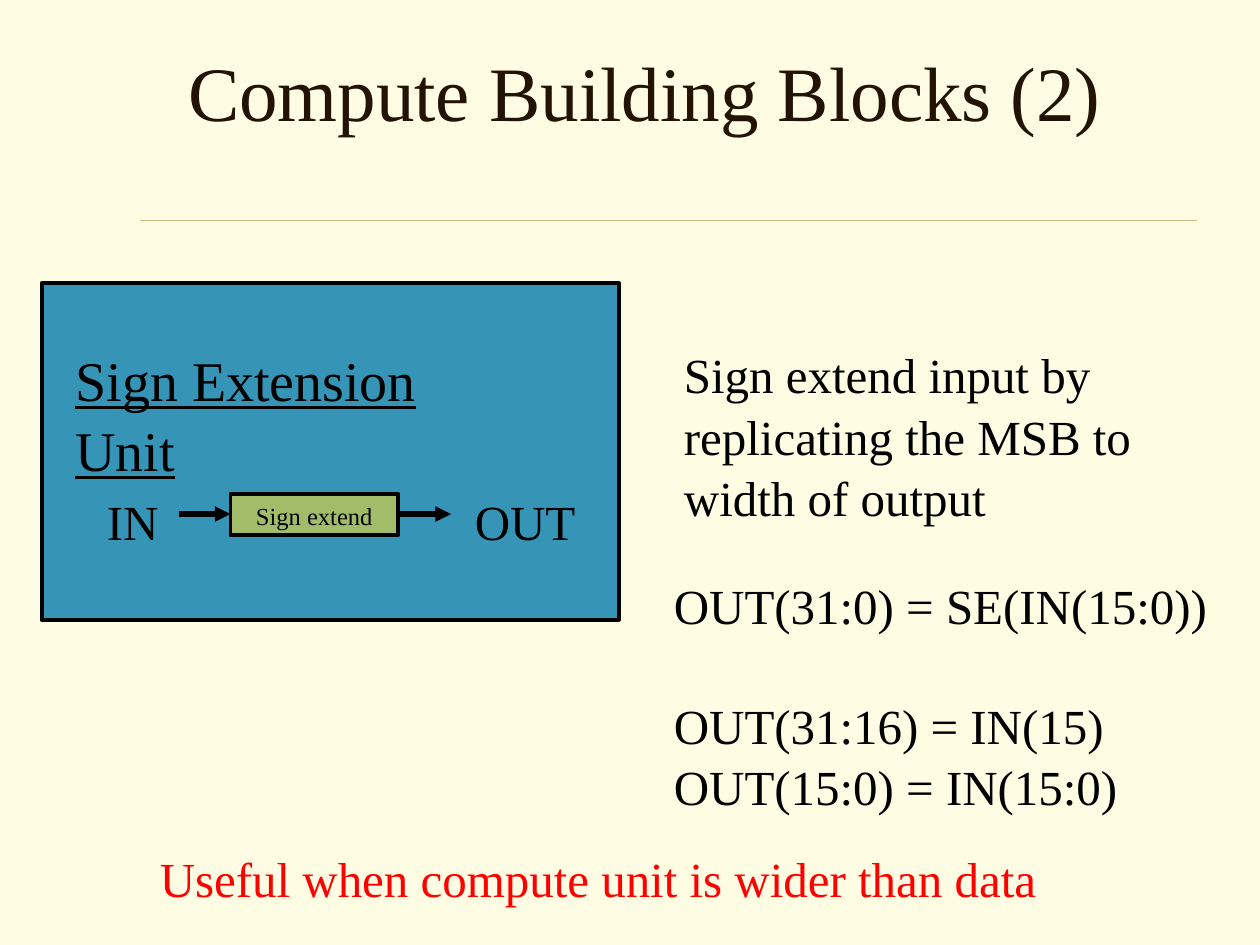
from dataclasses import dataclass

import pptx
import pptx.dml.color
import pptx.enum.shapes
import pptx.enum.text
import pptx.oxml
import pptx.oxml.ns
import pptx.util
from pptx.dml.color import RGBColor
from pptx.util import Inches

CREAM = RGBColor(0xFE, 0xFD, 0xE3)
TAN = RGBColor(0xCB, 0xBD, 0x83)
BROWN = RGBColor(0x22, 0x13, 0x04)
BLUE = RGBColor(0x36, 0x94, 0xB6)
GREEN = RGBColor(0xA1, 0xBD, 0x69)
BLACK = RGBColor(0, 0, 0)
RED = RGBColor(0xFF, 0, 0)
FONT = "Times New Roman"
BODY_SIZE = 28
LINE_SPACING = 1.04


@dataclass
class Label:
    left: float
    top: float
    width: float
    height: float
    lines: tuple[str, ...]
    size: int = BODY_SIZE
    color: RGBColor = BLACK
    underline: bool = False
    wrap: bool = False
    centered: bool = False
    gap_before: tuple[int, ...] = ()


@dataclass
class Block:
    left: float
    top: float
    width: float
    height: float
    fill: RGBColor


@dataclass
class Line:
    start: float
    end: float
    y: float
    color: RGBColor = BLACK
    weight: float = 3
    arrow: bool = True


def write_text(frame, label: Label) -> None:
    frame.word_wrap = label.wrap
    if label.centered:
        frame.vertical_anchor = pptx.enum.text.MSO_ANCHOR.MIDDLE
    for index, line in enumerate(label.lines):
        paragraph = frame.paragraphs[0] if index == 0 else frame.add_paragraph()
        paragraph.line_spacing = LINE_SPACING
        paragraph.alignment = (
            pptx.enum.text.PP_ALIGN.CENTER
            if label.centered
            else pptx.enum.text.PP_ALIGN.LEFT
        )
        if index in label.gap_before:
            paragraph.space_before = pptx.util.Pt(label.size * 1.2)
        run = paragraph.add_run()
        run.text = line
        run.font.name = FONT
        run.font.size = pptx.util.Pt(label.size)
        run.font.color.rgb = label.color
        if label.underline:
            run.font.underline = True


def draw_label(slide, label: Label) -> None:
    box = slide.shapes.add_textbox(
        Inches(label.left), Inches(label.top), Inches(label.width), Inches(label.height)
    )
    write_text(box.text_frame, label)


def draw_block(slide, block: Block) -> None:
    rectangle = slide.shapes.add_shape(
        pptx.enum.shapes.MSO_SHAPE.RECTANGLE,
        Inches(block.left),
        Inches(block.top),
        Inches(block.width),
        Inches(block.height),
    )
    rectangle.shadow.inherit = False
    rectangle.fill.solid()
    rectangle.fill.fore_color.rgb = block.fill
    rectangle.line.color.rgb = BLACK
    rectangle.line.width = pptx.util.Pt(2.25)
    return rectangle


def draw_line(slide, line: Line) -> None:
    connector = slide.shapes.add_connector(
        pptx.enum.shapes.MSO_CONNECTOR.STRAIGHT,
        Inches(line.start),
        Inches(line.y),
        Inches(line.end),
        Inches(line.y),
    )
    connector.line.color.rgb = line.color
    connector.line.width = pptx.util.Pt(line.weight)
    if line.arrow:
        head = pptx.oxml.parse_xml(
            f'<a:tailEnd {pptx.oxml.ns.nsdecls("a")} type="triangle"/>'
        )
        connector.line._get_or_add_ln().append(head)
    connector._element.spPr.append(
        pptx.oxml.parse_xml(f'<a:effectLst {pptx.oxml.ns.nsdecls("a")}/>')
    )


TITLE_RULE = Line(1.11, 9.5, 1.75, TAN, 0.25, arrow=False)
UNIT_PANEL = Block(0.33, 2.25, 4.58, 2.67, BLUE)
EXTENDER = Block(1.83, 3.92, 1.33, 0.33, GREEN)
EXTENDER_NAME = Label(1.83, 3.92, 1.33, 0.33, ("Sign extend",), size=14, centered=True)
SIGNALS = (Line(1.42, 1.83, 4.08), Line(3.17, 3.58, 4.08))
LABELS = (
    Label(0.58, 0.08, 9.08, 1.25, ("Compute Building Blocks (2)",),
          size=44, color=BROWN, wrap=True, centered=True),
    Label(0.5, 2.67, 3.6, 1.16, ("Sign Extension Unit",),
          size=32, underline=True, wrap=True),
    Label(0.75, 3.83, 0.61, 0.57, ("IN",)),
    Label(3.67, 3.83, 1, 0.57, ("OUT",)),
    Label(5.25, 4.5, 4.44, 1.97,
          ("OUT(31:0) = SE(IN(15:0))", "OUT(31:16) = IN(15)", "OUT(15:0) = IN(15:0)"),
          gap_before=(1,)),
    Label(5.33, 2.67, 3.75, 1.5,
          ("Sign extend input by", "replicating the MSB to", "width of output")),
    Label(1.17, 6.67, 7.16, 0.57,
          ("Useful when compute unit is wider than data",), color=RED),
)


def main() -> None:
    deck = pptx.Presentation()
    deck.slide_width = Inches(10)
    deck.slide_height = Inches(7.5)
    slide = deck.slides.add_slide(deck.slide_layouts[6])
    slide.background.fill.solid()
    slide.background.fill.fore_color.rgb = CREAM

    draw_line(slide, TITLE_RULE)
    draw_block(slide, UNIT_PANEL)
    for label in LABELS:
        draw_label(slide, label)
    extender = draw_block(slide, EXTENDER)
    write_text(extender.text_frame, EXTENDER_NAME)
    for signal in SIGNALS:
        draw_line(slide, signal)
    deck.save("out.pptx")


if __name__ == "__main__":
    main()
